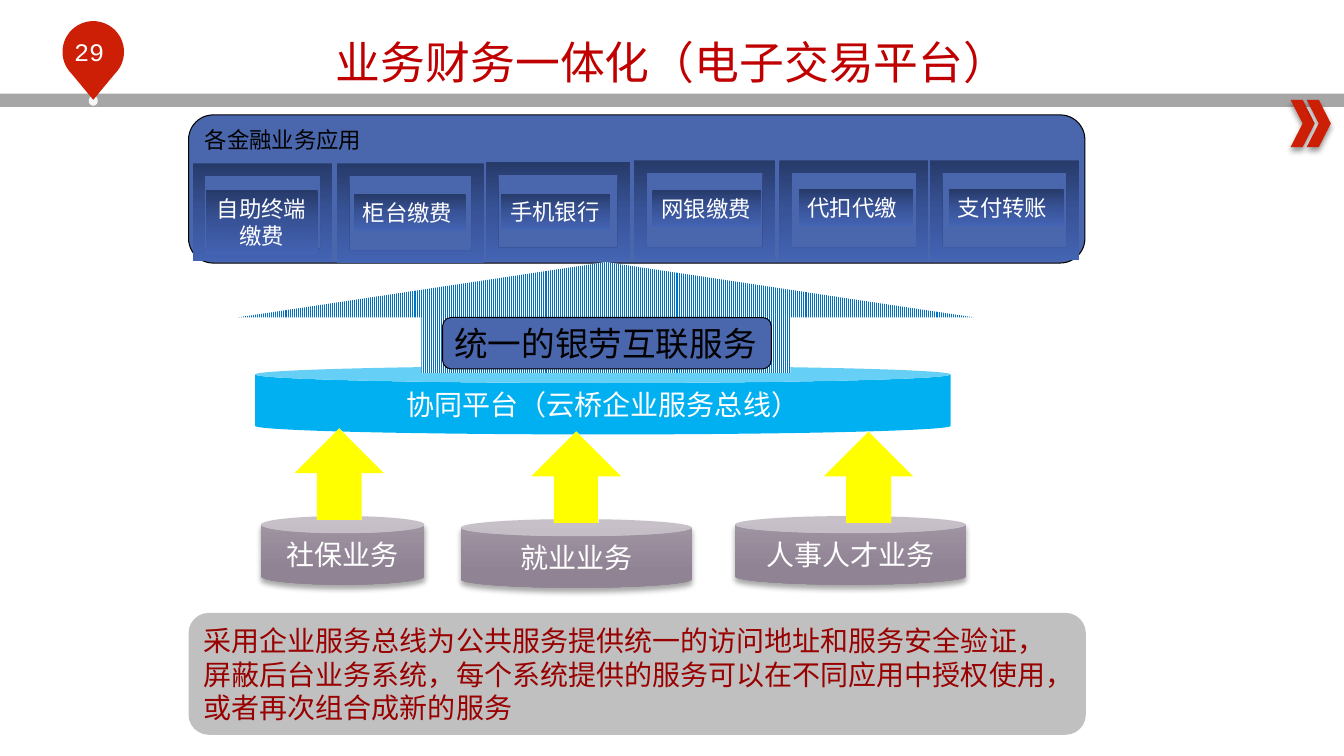
from math import cos, radians, sin

from lxml.etree import SubElement
from pptx import Presentation
from pptx.dml.color import RGBColor
from pptx.enum.dml import MSO_PATTERN as PATTERN
from pptx.enum.shapes import MSO_SHAPE as SHAPE
from pptx.enum.text import MSO_ANCHOR as ANCHOR, PP_ALIGN as ALIGN
from pptx.oxml.ns import qn
from pptx.util import Emu, Pt

PX = 9144  # 100 px to the inch
CJK = "Noto Sans CJK SC"
NAVY = [(0, "273B6A"), (50, "385397"), (100, "4363B3")]
MAUVE = [(0, "A297A5"), (78, "908394")]
RED, BLUE, WHITE, BLACK = "CD1F06", "4A66AC", "FFFFFF", "000000"


def px(length):
    return Emu(round(length * PX))


def color(value):
    return RGBColor.from_string(value)


def add_gradient(shape, stops):
    """Fill from top to bottom with (percent, colour) stops."""
    shape.fill.gradient()
    shape.fill.gradient_angle = 270
    stop_list = shape._element.spPr.find(qn("a:gradFill")).find(qn("a:gsLst"))
    for stop in list(stop_list):
        stop_list.remove(stop)
    for percent, value in stops:
        stop = SubElement(stop_list, qn("a:gs"), pos=str(percent * 1000))
        SubElement(stop, qn("a:srgbClr"), val=value)


def add_shadow(shape, opacity):
    effects = shape._element.spPr.find(qn("a:effectLst"))
    shadow = SubElement(effects, qn("a:outerShdw"), blurRad=str(Pt(4)),
                        dist=str(Pt(3)), dir="5400000", rotWithShape="0")
    tint = SubElement(shadow, qn("a:srgbClr"), val=BLACK)
    SubElement(tint, qn("a:alpha"), val=str(opacity * 1000))


def paint(shape, fill, line=None, shadow=None):
    """Fill with a hex colour, gradient stops or a (pattern, colour) pair."""
    shape.shadow.inherit = False
    if isinstance(fill, str):
        shape.fill.solid()
        shape.fill.fore_color.rgb = color(fill)
    elif isinstance(fill, list):
        add_gradient(shape, fill)
    else:
        shape.fill.patterned()
        shape.fill.pattern, fore = fill
        shape.fill.fore_color.rgb = color(fore)
        shape.fill.back_color.rgb = color(WHITE)
    if line:
        shape.line.color.rgb = color(line)
        shape.line.width = Pt(0.75)
    else:
        shape.line.fill.background()
    if shadow:
        add_shadow(shape, shadow)


def add_block(shapes, kind, box, fill, **looks):
    block = shapes.add_shape(kind, *map(px, box))
    paint(block, fill, **looks)
    return block


def write(shape, lines, size, value, font="Arial", align=ALIGN.LEFT, anchor=ANCHOR.MIDDLE):
    frame = shape.text_frame
    settings = {"word_wrap": True, "vertical_anchor": anchor,
                "margin_left": px(9), "margin_right": px(9),
                "margin_top": px(4), "margin_bottom": px(4)}
    for name, setting in settings.items():
        setattr(frame, name, setting)
    for index, line in enumerate(lines.split("\n")):
        para = frame.add_paragraph() if index else frame.paragraphs[0]
        para.alignment = align
        run = para.add_run()
        run.text = line
        for name, setting in {"size": Pt(size), "name": font}.items():
            setattr(run.font, name, setting)
        run.font.color.rgb = color(value)
        SubElement(run.font._element, qn("a:ea"), typeface=CJK)


def draw_pin(shapes, box):
    """Round marker whose tip points down to the bottom of the box."""
    left, top, width, height = box
    radius = width / 2
    center_x, center_y = left + radius, top + radius
    arc = [(px(center_x + radius * cos(radians(angle))),
            px(center_y + radius * sin(radians(angle))))
           for angle in range(45, -226, -5)]
    builder = shapes.build_freeform(px(center_x), px(top + height))
    builder.add_line_segments(arc, close=True)
    paint(builder.convert_to_shape(), RED)


def draw_header(shapes, box):
    left, top, width, height = box
    add_block(shapes, SHAPE.RECTANGLE, (left, top + 93, width, 13), "A6A6A6")
    for offset in (53, 37):
        add_block(shapes, SHAPE.CHEVRON, (left + width - offset, top + 99, 24, 47),
                  RED, shadow=40)
    add_block(shapes, SHAPE.OVAL, (left + 88, top + 95, 9, 10), "F6F6F6")
    draw_pin(shapes, (left + 62, top + 21, 61, 78))
    number = shapes.add_textbox(*map(px, (left + 45, top + 31, 87, 40)))
    write(number, "29", 18, WHITE, "Courier New", ALIGN.CENTER)
    title = shapes.add_textbox(*map(px, (left + 67, top + 30, 1200, 62)))
    write(title, "业务财务一体化（电子交易平台）", 32, "C00000", CJK, ALIGN.CENTER)


def draw_tile(shapes, box, label, label_box, align):
    """Bevelled tile; label_box is measured from the corner of the tile."""
    group = shapes.add_group_shape().shapes
    add_block(group, SHAPE.FRAME, box, NAVY)
    left, top, width, height = label_box
    plate = add_block(group, SHAPE.RECTANGLE, (box[0] + left, box[1] + top, width, height), NAVY)
    write(plate, label, 16, WHITE, align=align)


def draw_applications(shapes, box):
    left, top, width, height = box
    panel = add_block(shapes, SHAPE.ROUNDED_RECTANGLE, box, BLUE, line=BLACK)
    write(panel, "各金融业务应用", 16, BLACK, "Times New Roman", anchor=ANCHOR.TOP)
    tiles = [
        ("自助终端\n缴费", (4, 48, 139, 97), (13, 27, 111, 63)),
        ("柜台缴费", (147, 48, 146, 99), (17, 31, 111, 36)),
        ("手机银行", (295, 47, 143, 97), (15, 31, 108, 36)),
        ("网银缴费", (442, 45, 140, 99), (18, 30, 108, 36)),
        ("代扣代缴", (586, 45, 148, 99), (19, 29, 114, 36)),
        ("支付转账", (735, 45, 148, 99), (19, 29, 114, 36)),
    ]
    for label, (x, y, tile_width, tile_height), label_box in tiles:
        align = ALIGN.CENTER if "\n" in label else ALIGN.LEFT
        draw_tile(shapes, (left + x, top + y, tile_width, tile_height),
                  label, label_box, align)


def draw_platform(shapes, box):
    """Service bus with the wide arrow and its label standing on it."""
    left, top, width, height = box
    bus = add_block(shapes, SHAPE.CAN, box, "00B0F0")
    write(bus, "协同平台（云桥企业服务总线）", 20, WHITE, align=ALIGN.CENTER)
    add_block(shapes, SHAPE.UP_ARROW, (left - 18, top - 103, 732, 110),
              (PATTERN.NARROW_VERTICAL, "0070C0"))
    service = add_block(shapes, SHAPE.ROUNDED_RECTANGLE, (left + 186, top - 48, 326, 51),
                        BLUE, line=BLACK)
    write(service, "统一的银劳互联服务", 24, BLACK, "Times New Roman")


def draw_sources(shapes, box):
    left, top, width, height = box
    sources = [("社保业务", 0, 87, 162, 33, 0),
               ("就业业务", 198, 90, 229, 268, 3),
               ("人事人才业务", 470, 87, 229, 558, 3)]
    for label, x, y, can_width, arrow_x, arrow_y in sources:
        can = add_block(shapes, SHAPE.CAN, (left + x, top + y, can_width, 68),
                        MAUVE, shadow=35)
        write(can, label, 20, WHITE, align=ALIGN.CENTER)
        add_block(shapes, SHAPE.UP_ARROW, (left + arrow_x, top + arrow_y, 89, 91),
                  (PATTERN.DARK_VERTICAL, "FFFF00"))


def draw_summary(shapes, box):
    panel = add_block(shapes, SHAPE.ROUNDED_RECTANGLE, box, "C0C0C0")
    write(panel, "采用企业服务总线为公共服务提供统一的访问地址和服务安全验证，"
          "屏蔽后台业务系统，每个系统提供的服务可以在不同应用中授权使用，"
          "或者再次组合成新的服务", 20, "990000", CJK)


def main():
    deck = Presentation()
    deck.slide_width, deck.slide_height = px(1333), px(750)
    shapes = deck.slides.add_slide(deck.slide_layouts[6]).shapes
    draw_header(shapes, (0, 0, 1333, 106))
    draw_applications(shapes, (187, 114, 889, 147))
    draw_platform(shapes, (253, 363, 690, 68))
    draw_sources(shapes, (259, 425, 699, 155))
    draw_summary(shapes, (187, 608, 890, 121))
    deck.save("out.pptx")


if __name__ == "__main__":
    main()
